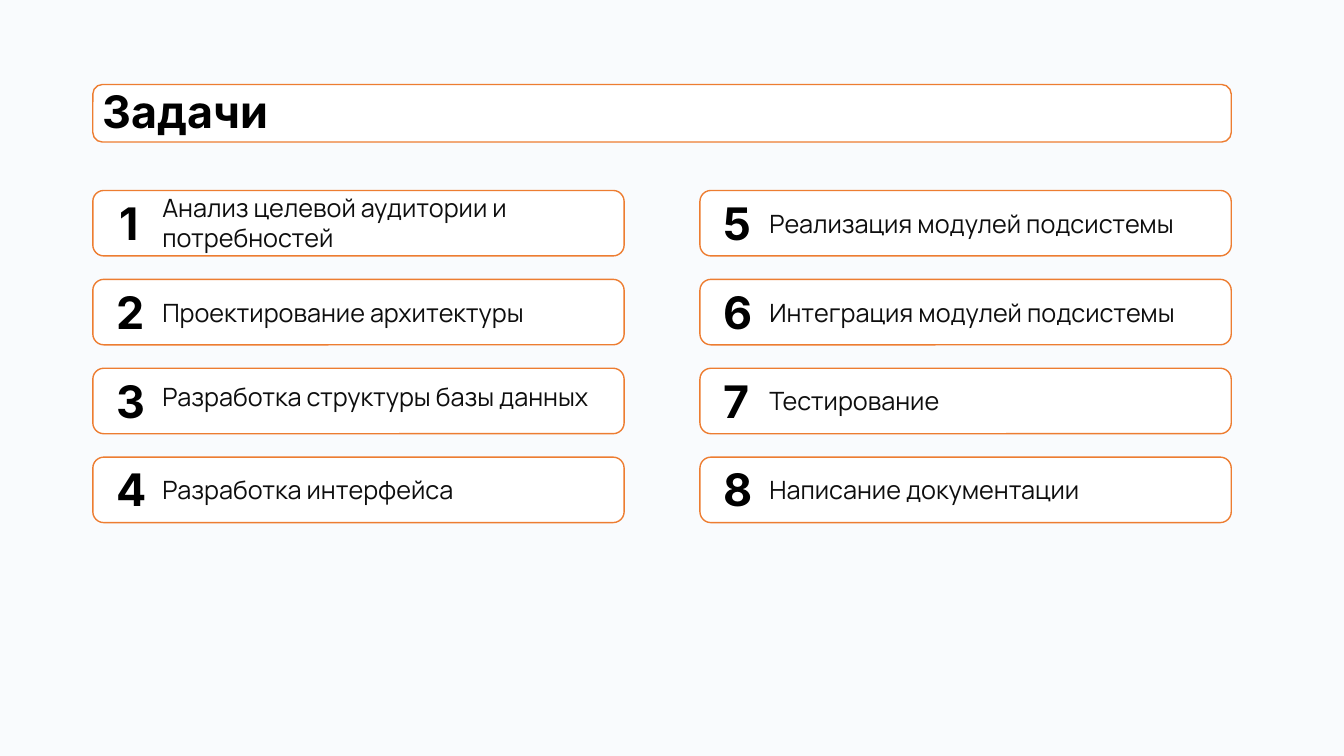
from pptx import Presentation
from pptx.dml.color import RGBColor as Rgb
from pptx.enum.shapes import MSO_SHAPE as Shape
from pptx.enum.text import MSO_ANCHOR as Anchor, MSO_AUTO_SIZE as Fit, PP_ALIGN as Align
from pptx.util import Cm, Pt

HEAD = "Задачи"
TASKS = [
    {"text": "Анализ целевой аудитории и потребностей", "tall": 1.8},
    {"text": "Проектирование архитектуры"},
    {"text": "Разработка структуры базы данных", "shift": -0.11},
    {"text": "Разработка интерфейса"},
    {"text": "Реализация модулей подсистемы"},
    {"text": "Интеграция модулей подсистемы"},
    {"text": "Тестирование"},
    {"text": "Написание документации"},
]
COLORS = {"back": "F9FBFD", "card": "FFFFFF", "edge": "ED7D31",
          "head": "000000", "body": "0E0E0E"}
ROWS = 4
LEFT, TOP = 2.34, 4.8
STEP_X, STEP_Y = 15.3, 2.24
WIDE, HIGH = 13.39, 1.65
NUM_X, NUM_W, NUM_H = 0.34, 1.17, 1.62
TEXT_X, TEXT_W, TEXT_H = 1.5, 11.86, 1.02


def color(name):
    return Rgb.from_string(COLORS[name])


def card(x, y, w, h):
    box = slide.shapes.add_shape(Shape.ROUNDED_RECTANGLE, Cm(x), Cm(y), Cm(w), Cm(h))
    box.shadow.inherit = False
    box.fill.solid()
    box.fill.fore_color.rgb = color("card")
    box.line.color.rgb = color("edge")
    box.line.width = Pt(1)
    return box


def write(text, x, y, w, h, box=None, font="Inter", size=32, bold=True,
          ink="head", align=Align.LEFT, anchor=Anchor.TOP, fit=Fit.SHAPE_TO_FIT_TEXT,
          space=1.0):
    if box is None:
        box = slide.shapes.add_textbox(Cm(x), Cm(y), Cm(w), Cm(h))
    else:
        box.left, box.top, box.width, box.height = Cm(x), Cm(y), Cm(w), Cm(h)
    frame = box.text_frame
    frame.word_wrap = True
    frame.auto_size = fit
    frame.vertical_anchor = anchor
    para = frame.paragraphs[0]
    para.alignment = align
    para.line_spacing = space
    run = para.add_run()
    run.text = text
    run.font.name = font
    run.font.size = Pt(size)
    run.font.bold = bold
    run.font.color.rgb = color(ink)


deck = Presentation()
deck.slide_width, deck.slide_height = Cm(33.87), Cm(19.05)
slide = deck.slides.add_slide(deck.slide_layouts[5])
slide.background.fill.solid()
slide.background.fill.fore_color.rgb = color("back")

title = slide.shapes.title
banner = card(LEFT, 2.13, STEP_X + WIDE, 1.45)
banner._element.addnext(title._element)
write(HEAD, LEFT, 1.02, 29.21, 3.68, box=title, anchor=Anchor.MIDDLE,
      fit=Fit.NONE, space=0.9)

for i, task in enumerate(TASKS):
    col, row = divmod(i, ROWS)
    x, y = LEFT + col * STEP_X, TOP + row * STEP_Y
    card(x, y, WIDE, HIGH)
    write(str(i + 1), x + NUM_X, y, NUM_W, NUM_H, align=Align.CENTER)
    tall = task.get("tall", TEXT_H)
    mid = y + (HIGH - tall) / 2 + task.get("shift", 0)
    write(task["text"], x + TEXT_X, mid, TEXT_W, tall,
          font="Manrope", size=18, bold=False, ink="body")

deck.save("out.pptx")
